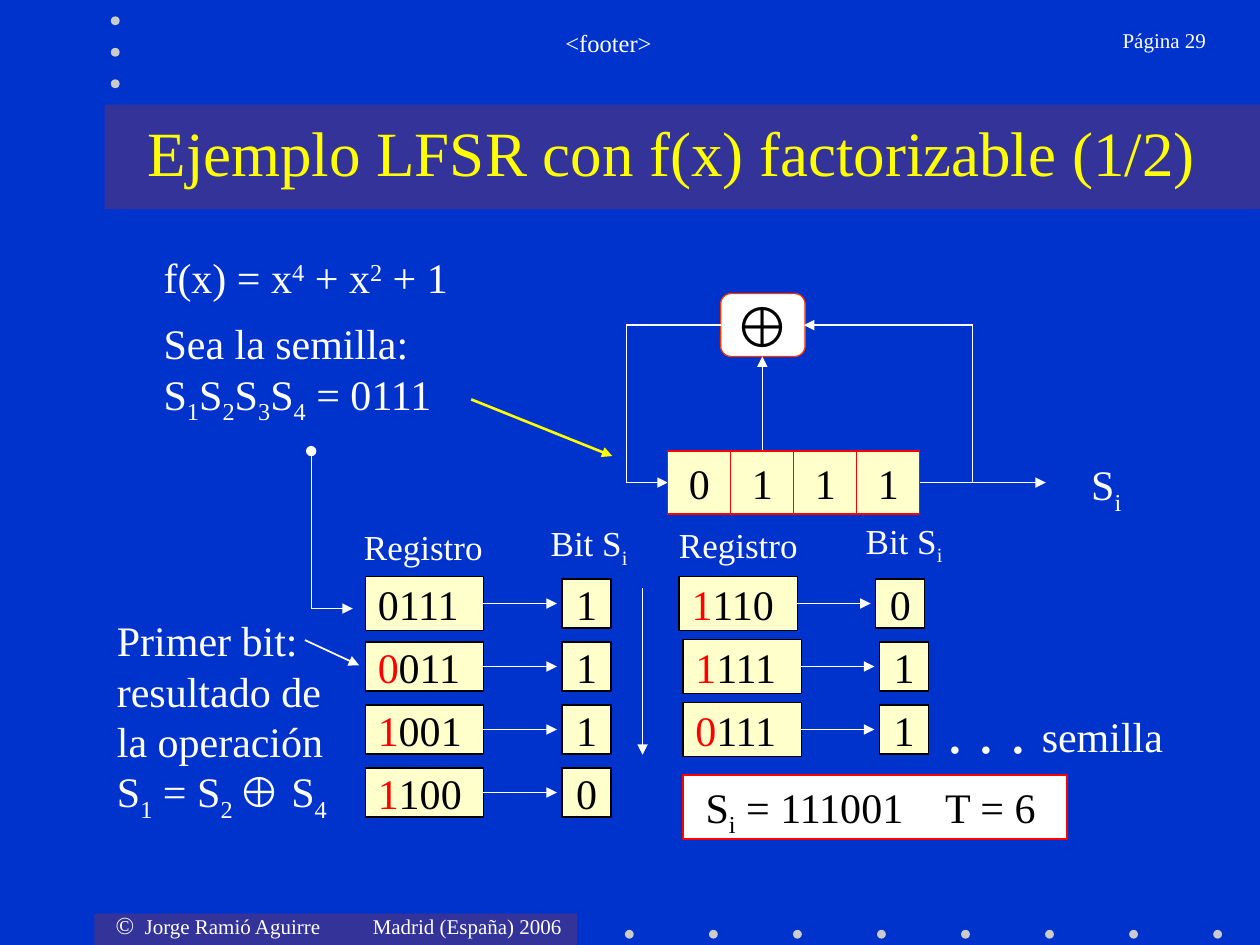
from dataclasses import dataclass
from typing import Optional

from lxml import etree
from pptx import Presentation
from pptx.dml.color import RGBColor
from pptx.enum.shapes import MSO_CONNECTOR, MSO_SHAPE
from pptx.enum.text import MSO_ANCHOR, MSO_AUTO_SIZE, PP_ALIGN
from pptx.oxml.ns import qn
from pptx.util import Inches, Pt

STRAIGHT = MSO_CONNECTOR.STRAIGHT
RECTANGLE, ROUNDED, OVAL = MSO_SHAPE.RECTANGLE, MSO_SHAPE.ROUNDED_RECTANGLE, MSO_SHAPE.OVAL
LEFT, CENTER, RIGHT = PP_ALIGN.LEFT, PP_ALIGN.CENTER, PP_ALIGN.RIGHT
TOP, MIDDLE = MSO_ANCHOR.TOP, MSO_ANCHOR.MIDDLE
NO_AUTOFIT = MSO_AUTO_SIZE.NONE
TITLE_ONLY = 5
SERIF, SANS = "Times New Roman", "Arial"
COLORS = {
    "background": "0033CC", "band": "333399", "dot": "CBCBCB", "white": "FFFFFF",
    "yellow": "FFFF00", "cell": "FFFFCC", "red": "FF0000", "orange": "FF3300",
    "black": "000000",
}


@dataclass(frozen=True)
class Span:
    text: str
    baseline: int = 0
    color: Optional[str] = None
    size: Optional[float] = None
    font: str = SERIF


@dataclass(frozen=True)
class Style:
    size: float = 24
    color: str = "white"
    align: PP_ALIGN = LEFT
    anchor: MSO_ANCHOR = MIDDLE
    wrap: bool = False
    inset: float = 0.1
    bottom: float = 0.05
    tabs: tuple[float, ...] = ()


@dataclass(frozen=True)
class Step:
    """One register state and the bit it puts out."""
    left: float
    row: int
    height: float
    fresh: str
    kept: str
    bit: str


@dataclass(frozen=True)
class Arrow:
    start: tuple[float, float]
    end: tuple[float, float]
    color: str = "white"
    width: float = 0.75
    head: str = ""
    tail: str = "triangle"


def rgb(name: str) -> RGBColor:
    return RGBColor.from_string(COLORS[name])


def sub(text: str) -> Span:
    return Span(text, -25)


def sup(text: str) -> Span:
    return Span(text, 30)


def write(box, lines: list[list[Span]], style: Style) -> None:
    frame = box.text_frame
    frame.word_wrap = style.wrap
    frame.auto_size = NO_AUTOFIT
    frame.vertical_anchor = style.anchor
    frame.margin_left, frame.margin_right = Inches(style.inset), Inches(0.1)
    frame.margin_top, frame.margin_bottom = Inches(0.05), Inches(style.bottom)
    for index, spans in enumerate(lines):
        para = frame.add_paragraph() if index else frame.paragraphs[0]
        para.alignment = style.align
        if style.tabs:
            stops = etree.SubElement(para._p.get_or_add_pPr(), qn("a:tabLst"))
            for stop in style.tabs:
                etree.SubElement(stops, qn("a:tab"), pos=str(Inches(stop)), algn="l")
        for span in spans:
            run = para.add_run()
            run.text = span.text
            run.font.name = span.font
            run.font.size = Pt(span.size or style.size)
            run.font.color.rgb = rgb(span.color or style.color)
            if span.baseline:
                run.font._element.set("baseline", str(span.baseline * 1000))


def add_text(page, left: float, top: float, width: float, height: float,
             lines: list[list[Span]], style: Style) -> None:
    box = page.shapes.add_textbox(Inches(left), Inches(top), Inches(width), Inches(height))
    write(box, lines, style)


def add_box(page, kind: MSO_SHAPE, left: float, top: float, width: float, height: float,
            fill: str, line: str = "", line_width: float = 0.75):
    box = page.shapes.add_shape(kind, Inches(left), Inches(top), Inches(width), Inches(height))
    box.shadow.inherit = False
    box.fill.solid()
    box.fill.fore_color.rgb = rgb(fill)
    if line:
        box.line.color.rgb = rgb(line)
        box.line.width = Pt(line_width)
    else:
        box.line.fill.background()
    return box


def add_arrow(page, arrow: Arrow) -> None:
    ends = [Inches(value) for value in arrow.start + arrow.end]
    connector = page.shapes.add_connector(STRAIGHT, *ends)
    connector.line.color.rgb = rgb(arrow.color)
    connector.line.width = Pt(arrow.width)
    line = connector.line._get_or_add_ln()
    for tag, kind in (("a:headEnd", arrow.head), ("a:tailEnd", arrow.tail)):
        if kind:
            etree.SubElement(line, qn(tag), type=kind)
    etree.SubElement(connector._element.spPr, qn("a:effectLst"))


def add_step(page, step: Step) -> None:
    middle = 4.79 + 0.5 * step.row
    register = add_box(page, RECTANGLE, step.left, middle - step.height / 2, 0.94,
                       step.height, "cell", "black")
    fresh_color = "red" if step.fresh else "black"
    spans = [Span(step.fresh, color=fresh_color)] if step.fresh else []
    write(register, [spans + [Span(step.kept)]], Style(color="black", wrap=True))
    bit = add_box(page, RECTANGLE, step.left + 1.56, middle - 0.195, 0.39, 0.39, "cell", "black")
    write(bit, [[Span(step.bit)]], Style(color="black", align=CENTER))
    add_arrow(page, Arrow((step.left + 0.93, middle), (step.left + 1.52, middle)))


def add_frame(page) -> None:
    """Bands, dots, footer texts and title."""
    add_box(page, RECTANGLE, 0.75, 7.25, 3.83, 0.25, "band")
    add_box(page, RECTANGLE, 0.83, 0.83, 9.17, 0.83, "band")
    dots = [(4.96 + 0.667 * i, 7.38) for i in range(8)] + [(0.88, 0.13 + 0.25 * i) for i in range(3)]
    for left, top in dots:
        add_box(page, OVAL, left, top, 0.07, 0.07, "dot")
    add_text(page, 0.82, 7.17, 3.75, 0.34,
             [[Span("©", size=14), Span("\tJorge Ramió Aguirre\tMadrid (España) 2006")]],
             Style(size=12, anchor=TOP, tabs=(0.23, 2.04)))
    add_text(page, 1.58, 0.17, 6.5, 0.5, [[Span("<footer>")]],
             Style(size=14, align=CENTER, anchor=TOP, wrap=True))
    add_text(page, 8.3, 0.17, 1.37, 0.5, [[Span("Página 29")]],
             Style(size=12, align=RIGHT, anchor=TOP, wrap=True))
    title = page.shapes.title
    title.left, title.top, title.width, title.height = map(Inches, (0.83, 0.83, 9, 0.75))
    write(title, [[Span("Ejemplo LFSR con f(x) factorizable (1/2)")]],
          Style(size=36, color="yellow", align=CENTER, wrap=True))
    title.element.getparent().append(title.element)


def add_circuit(page) -> None:
    gate = add_box(page, ROUNDED, 5.72, 2.33, 0.67, 0.5, "white", "orange")
    write(gate, [[Span("⊕", font=SANS)]], Style(size=32, color="black", align=CENTER))
    for arrow in (
        Arrow((7.72, 3.83), (7.72, 2.58), tail=""),
        Arrow((7.3, 3.83), (8.3, 3.83)),
        Arrow((4.97, 3.83), (5.3, 3.83)),
        Arrow((6.05, 3.58), (6.05, 2.83)),
        Arrow((7.72, 2.58), (6.38, 2.58)),
        Arrow((5.72, 2.58), (4.97, 2.58), tail=""),
        Arrow((4.97, 2.58), (4.97, 3.83), tail=""),
    ):
        add_arrow(page, arrow)
    for index, digit in enumerate("0111"):
        cell = add_box(page, RECTANGLE, 5.3 + 0.5 * index, 3.58, 0.5, 0.5, "cell", "red")
        write(cell, [[Span(digit)]], Style(color="black", align=CENTER))
    add_text(page, 8.56, 3.59, 0.44, 0.56, [[Span("S"), sub("i")]], Style(align=CENTER))


def add_sequence(page) -> None:
    heading = Style(size=20, align=CENTER)
    for left, top in ((2.79, 4.12), (5.29, 4.1)):
        add_text(page, left, top, 1.14, 0.44, [[Span("Registro")]], heading)
        add_text(page, left + 1.48, top - 0.03, 0.81, 0.48, [[Span("Bit S"), sub("i")]], heading)
    for step in (
        Step(2.9, 0, 0.43, "", "0111", "1"),
        Step(2.9, 1, 0.39, "0", "011", "1"),
        Step(2.9, 2, 0.39, "1", "001", "1"),
        Step(2.9, 3, 0.39, "1", "100", "0"),
        Step(5.39, 0, 0.43, "1", "110", "0"),
        Step(5.42, 1, 0.43, "1", "111", "1"),
        Step(5.42, 2, 0.43, "0", "111", "1"),
    ):
        add_step(page, step)
    for arrow in (
        Arrow((2.47, 3.58), (2.47, 4.83), head="oval", tail=""),
        Arrow((2.47, 4.83), (2.8, 4.83)),
        Arrow((2.42, 5.08), (2.85, 5.28), width=1),
        Arrow((3.74, 3.17), (4.86, 3.62), color="yellow", width=1.5),
        Arrow((5.1, 4.67), (5.1, 5.99), width=1),
    ):
        add_arrow(page, arrow)


def add_notes_on_method(page) -> None:
    add_text(page, 1.2, 1.95, 2.54, 0.5,
             [[Span("f(x) = x"), sup("4"), Span(" + x"), sup("2"), Span(" + 1")]], Style())
    seed = [span for digit in "1234" for span in (Span("S"), sub(digit))]
    add_text(page, 1.2, 2.47, 2.35, 0.96,
             [[Span("Sea la semilla:")], seed + [Span(" = 0111")]], Style())
    add_text(page, 0.83, 4.83, 1.97, 1.71,
             [[Span("Primer bit: resultado de la operación S"), sub("1"), Span(" = S"), sub("2 "),
               Span("⊕", font=SANS), Span(" S"), sub("4")]],
             Style(anchor=TOP, wrap=True, bottom=0))
    add_text(page, 8.17, 5.59, 1.16, 0.45, [[Span("semilla")]], Style(anchor=TOP, bottom=0))
    add_text(page, 7.42, 5.43, 1, 0.65, [[Span(". . .")]],
             Style(size=36, anchor=TOP, wrap=True, bottom=0))
    result = add_box(page, RECTANGLE, 5.42, 6.15, 3.05, 0.51, "white", "red", 1)
    write(result, [[Span("S"), sub("i"), Span(" = 111001\tT = 6")]],
          Style(color="black", anchor=TOP, wrap=True, inset=0.18, bottom=0, tabs=(1.9,)))


def main() -> None:
    deck = Presentation()
    deck.slide_width, deck.slide_height = Inches(10), Inches(7.5)
    page = deck.slides.add_slide(deck.slide_layouts[TITLE_ONLY])
    page.background.fill.solid()
    page.background.fill.fore_color.rgb = rgb("background")
    add_frame(page)
    add_circuit(page)
    add_sequence(page)
    add_notes_on_method(page)
    deck.save("out.pptx")


if __name__ == "__main__":
    main()
